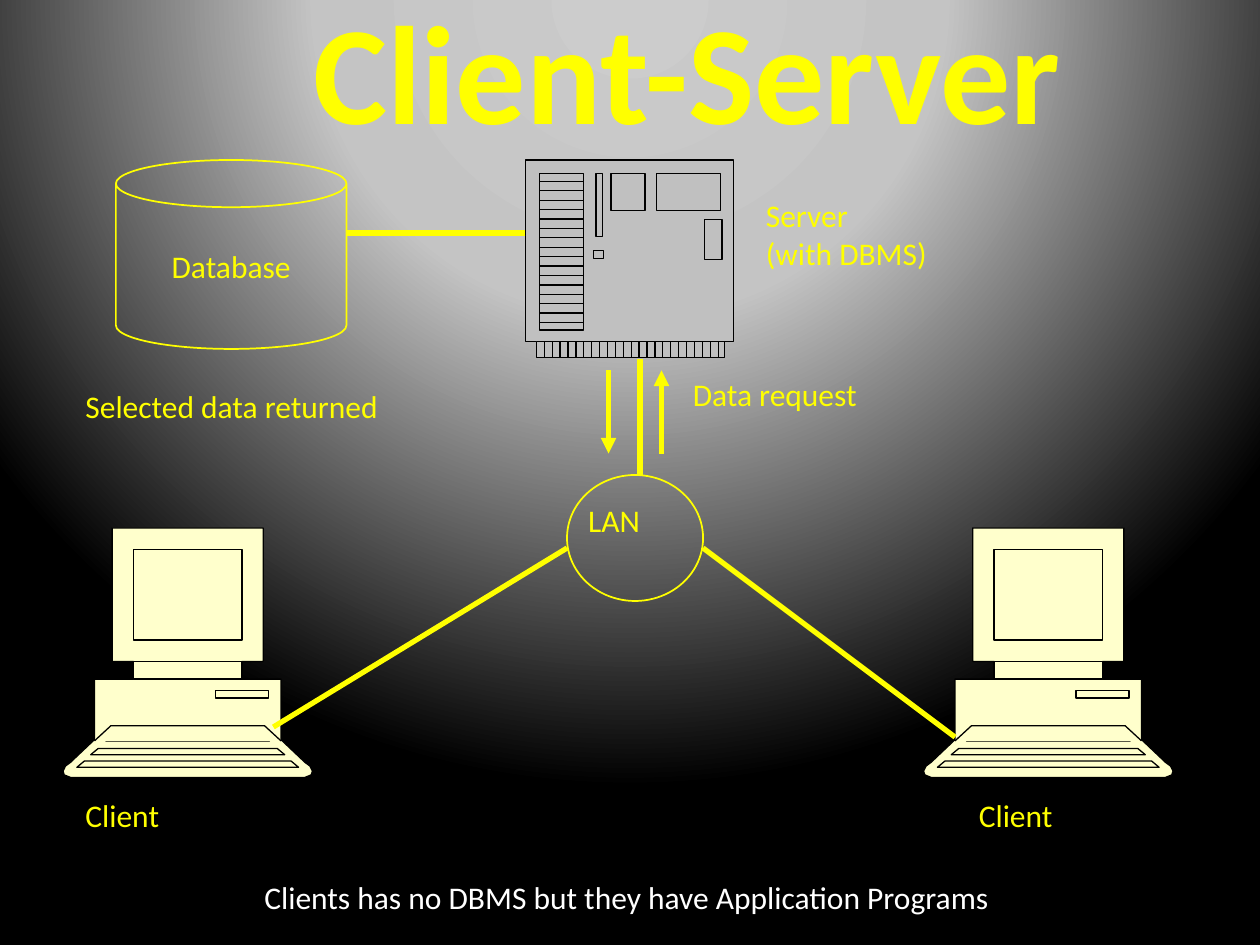
from copy import deepcopy

from lxml import etree
from pptx import Presentation
from pptx.dml.color import RGBColor
from pptx.enum.shapes import MSO_CONNECTOR, MSO_SHAPE
from pptx.enum.text import MSO_ANCHOR, PP_ALIGN
from pptx.oxml.ns import qn
from pptx.util import Inches, Pt

YELLOW, WHITE, BLACK = "FFFF00", "FFFFFF", "000000"
CREAM, SILVER = "FFFFCC", "C0C0C0"
BODY = {"name": "Calibri", "size": Pt(18), "bold": False}
HEADING = {**BODY, "size": Pt(80), "bold": True}
BACKDROP = {0: "CCCCCC", 40: "C4C4C4", 100: BLACK}
FOCUS = {"l": 50, "t": -80, "r": 50, "b": 180}


def rgb(hex_code):
    """Turn a hex string into a colour."""
    return RGBColor.from_string(hex_code)


def paint_background(slide):
    """Fill the slide with a circular gradient lit from above."""
    slide.background.fill.gradient()
    gradient = slide.element.find(".//" + qn("a:gradFill"))
    for child in list(gradient):
        gradient.remove(child)
    stops = etree.SubElement(gradient, qn("a:gsLst"))
    for percent, hex_code in BACKDROP.items():
        stop = etree.SubElement(stops, qn("a:gs"), pos=str(percent * 1000))
        etree.SubElement(stop, qn("a:srgbClr"), val=hex_code)
    circle = etree.SubElement(gradient, qn("a:path"), path="circle")
    edges = {side: str(percent * 1000) for side, percent in FOCUS.items()}
    etree.SubElement(circle, qn("a:fillToRect"), **edges)


def write(frame, wording, color=YELLOW, style=BODY, align=PP_ALIGN.LEFT):
    """Write the wording into a text frame, one paragraph a line."""
    frame.word_wrap = True
    for index, sentence in enumerate(wording.split("\n")):
        paragraph = frame.add_paragraph() if index else frame.paragraphs[0]
        paragraph.alignment = align
        run = paragraph.add_run()
        run.text = sentence
        run.font.color.rgb = rgb(color)
        for attribute, value in style.items():
            setattr(run.font, attribute, value)


def add_label(slide, box, wording, **look):
    """Place a text box and return its frame."""
    frame = slide.shapes.add_textbox(*map(Inches, box)).text_frame
    write(frame, wording, **look)
    return frame


def add_title(slide, box):
    """Place the slide title."""
    frame = add_label(slide, box, "Client-Server", style=HEADING, align=PP_ALIGN.CENTER)
    frame.vertical_anchor = MSO_ANCHOR.MIDDLE


def add_outlined(slide, preset, box):
    """Place an unfilled preset shape with a yellow outline."""
    outlined = slide.shapes.add_shape(preset, *map(Inches, box))
    outlined.shadow.inherit = False
    outlined.fill.background()
    outlined.line.color.rgb = rgb(YELLOW)
    outlined.line.width = Pt(1)
    return outlined


def add_database(slide, box):
    """Place the database cylinder."""
    database = add_outlined(slide, MSO_SHAPE.CAN, box)
    database.adjustments[0] = 0.25
    database.text_frame.vertical_anchor = MSO_ANCHOR.MIDDLE
    write(database.text_frame, "Database", align=PP_ALIGN.CENTER)


def add_lan(slide, box):
    """Place the network circle with its label."""
    left, top = box[:2]
    add_outlined(slide, MSO_SHAPE.OVAL, box)
    add_label(slide, (left + 0.07, top + 0.16, 0.96, 0.57), "LAN")


def add_link(slide, begin, end, arrow=False):
    """Draw a thick yellow line, with an arrowhead if asked."""
    ends = map(Inches, (*begin, *end))
    link = slide.shapes.add_connector(MSO_CONNECTOR.STRAIGHT, *ends)
    link.line.color.rgb = rgb(YELLOW)
    link.line.width = Pt(3)
    if arrow:
        etree.SubElement(link.element.find(".//" + qn("a:ln")), qn("a:tailEnd"), type="triangle")
    etree.SubElement(link.element.spPr, qn("a:effectLst"))


def rectangle(left, top, right, bottom):
    """List the corners of a rectangle back to its start."""
    return [(left, top), (right, top), (right, bottom), (left, bottom), (left, top)]


def split_contours(drawing):
    """Give each contour its own path so that none cuts a hole."""
    joined = drawing.element.find(".//" + qn("a:path"))
    steps = list(joined)
    for step in steps:
        joined.remove(step)
    blank = deepcopy(joined)
    current = joined
    for step in steps:
        if step.tag == qn("a:moveTo") and len(current):
            current = deepcopy(blank)
            joined.getparent().append(current)
        current.append(step)


def add_drawing(slide, origin, contours, color):
    """Draw contours, given relative to the origin, as one freeform."""
    left, top = origin
    builder = None
    for contour in contours:
        start, *rest = [(Inches(left + x), Inches(top + y)) for x, y in contour]
        if builder is None:
            builder = slide.shapes.build_freeform(*start)
        else:
            builder.move_to(*start)
        builder.add_line_segments(rest, close=contour[0] == contour[-1])
    drawing = builder.convert_to_shape()
    split_contours(drawing)
    drawing.shadow.inherit = False
    drawing.fill.solid()
    drawing.fill.fore_color.rgb = rgb(color)
    drawing.line.color.rgb = rgb(BLACK)
    drawing.line.width = Pt(0.75)


def add_client(slide, origin):
    """Draw a desktop computer and its label."""
    left, top = origin
    middle = 0.99
    half = [(0.6, 0), (0.6, 1.06), (0.43, 1.06), (0.43, 1.2), (0.74, 1.2), (0.74, 1.68),
            (0.93, 1.86), (0.97, 1.89), (0.99, 1.93), (0.98, 1.96), (0.93, 1.98)]
    body = [(middle + x, y) for x, y in half]
    body += [(middle - x, y) for x, y in reversed(half)]
    rows = [[(middle - base, y), (middle - base + 0.06, y - 0.05),
             (middle + base - 0.06, y - 0.05), (middle + base, y), (middle - base, y)]
            for base, y in ((0.65, 1.69), (0.77, 1.8), (0.88, 1.9))]
    keyboard_edge = [(0.25, 1.69), (0.38, 1.57), (1.6, 1.57), (1.73, 1.69)]
    screen, neck, drive = (rectangle(*edges) for edges in (
        (0.56, 0.17, 1.42, 0.89), (0.56, 1.06, 1.42, 1.2), (1.21, 1.29, 1.63, 1.35)))
    contours = [body + body[:1], *rows, keyboard_edge, screen, neck, drive]
    add_drawing(slide, origin, contours, CREAM)


def add_server(slide, origin):
    """Draw the server board with its slots, chips and pins."""
    board = [(0, 0), (1.65, 0), (1.65, 1.44), (1.58, 1.44), (1.58, 1.57),
             (0.09, 1.57), (0.09, 1.44), (0, 1.44), (0, 0)]
    parts = [rectangle(*edges) for edges in (
        (0.11, 0.11, 0.46, 1.35), (0.56, 0.11, 0.61, 0.61), (0.54, 0.72, 0.62, 0.78),
        (0.68, 0.11, 0.95, 0.4), (1.04, 0.11, 1.55, 0.4), (1.42, 0.47, 1.56, 0.79))]
    slots = [[(0.11, y), (0.46, y)] for y in (0.17 + 1.12 * i / 15 for i in range(16))]
    pins = [[(x, 1.44), (x, 1.57)] for x in (0.15 + 1.38 * i / 22 for i in range(23))]
    pin_edge = [(0.09, 1.44), (1.58, 1.44)]
    add_drawing(slide, origin, [board, pin_edge, *parts, *slots, *pins], SILVER)


def main():
    """Build the client-server slide."""
    presentation = Presentation()
    presentation.slide_width, presentation.slide_height = Inches(10), Inches(7.5)
    slide = presentation.slides.add_slide(presentation.slide_layouts[6])
    paint_background(slide)
    add_title(slide, (1.33, -0.08, 8.25, 1.25))
    add_server(slide, (4.17, 1.27))
    add_lan(slide, (4.5, 3.77, 1.08, 1))
    for left, label_left in ((0.5, 0.58), (7.33, 7.67)):
        add_client(slide, (left, 4.19))
        add_label(slide, (label_left, 6.27, 1.2, 0.57), "Client")
    add_database(slide, (0.92, 1.27, 1.83, 1.5))
    for begin, end in (((5.08, 3.77), (5.08, 2.85)), ((4.5, 4.35), (2.17, 5.77)),
                       ((7.58, 5.85), (5.58, 4.35)), ((4.17, 1.85), (2.75, 1.85))):
        add_link(slide, begin, end)
    add_link(slide, (4.83, 2.94), (4.83, 3.6), arrow=True)
    add_link(slide, (5.25, 3.6), (5.25, 2.94), arrow=True)
    add_label(slide, (0.58, 3.02, 4.14, 0.57), "Selected data returned")
    add_label(slide, (5.4, 2.93, 2.43, 0.57), "Data request")
    add_label(slide, (5.98, 1.51, 2.39, 1.03), "Server\n(with DBMS)")
    add_label(slide, (2, 6.92, 6, 0.4),
              "Clients has no DBMS but they have Application Programs", color=WHITE)
    presentation.save("out.pptx")


if __name__ == "__main__":
    main()
